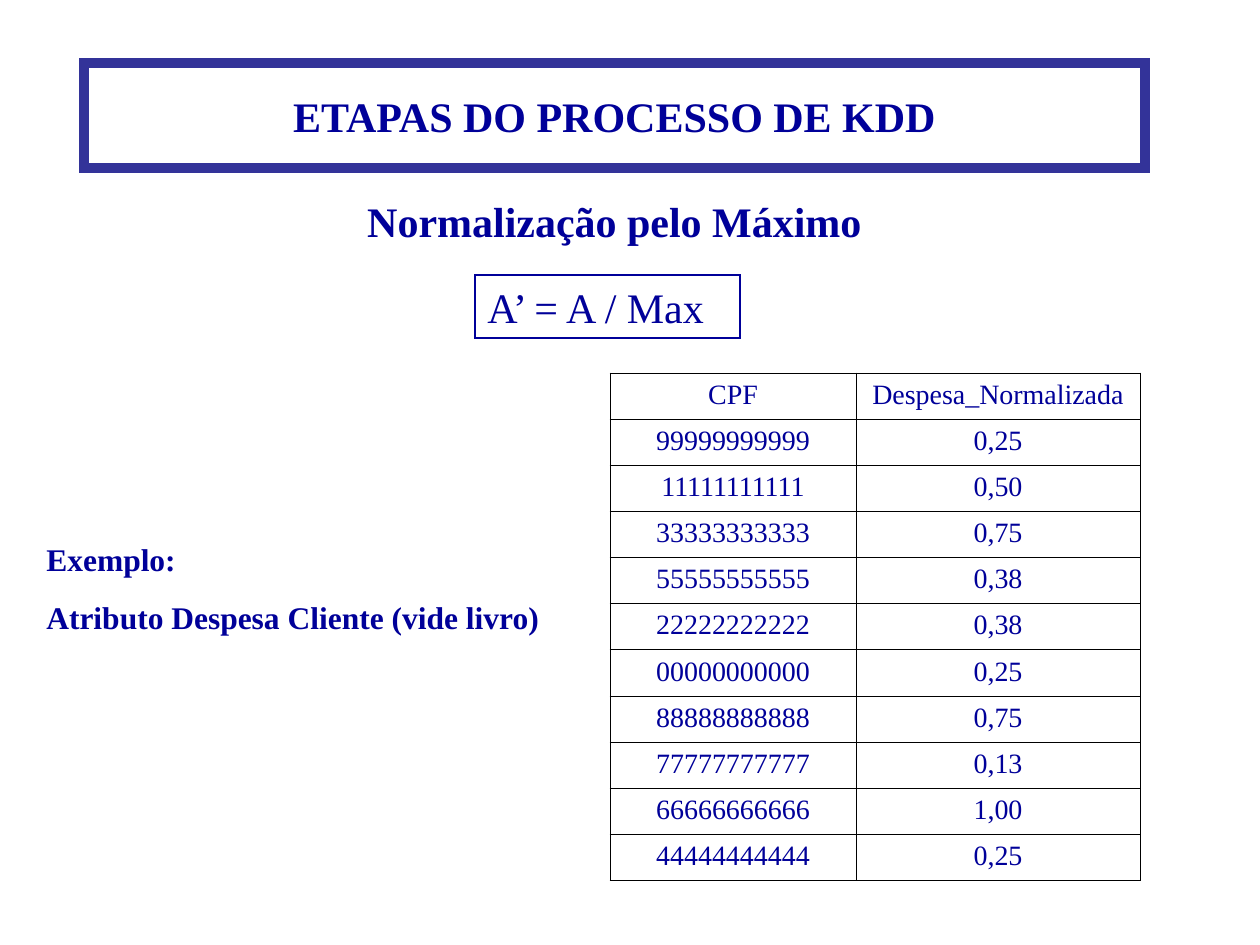
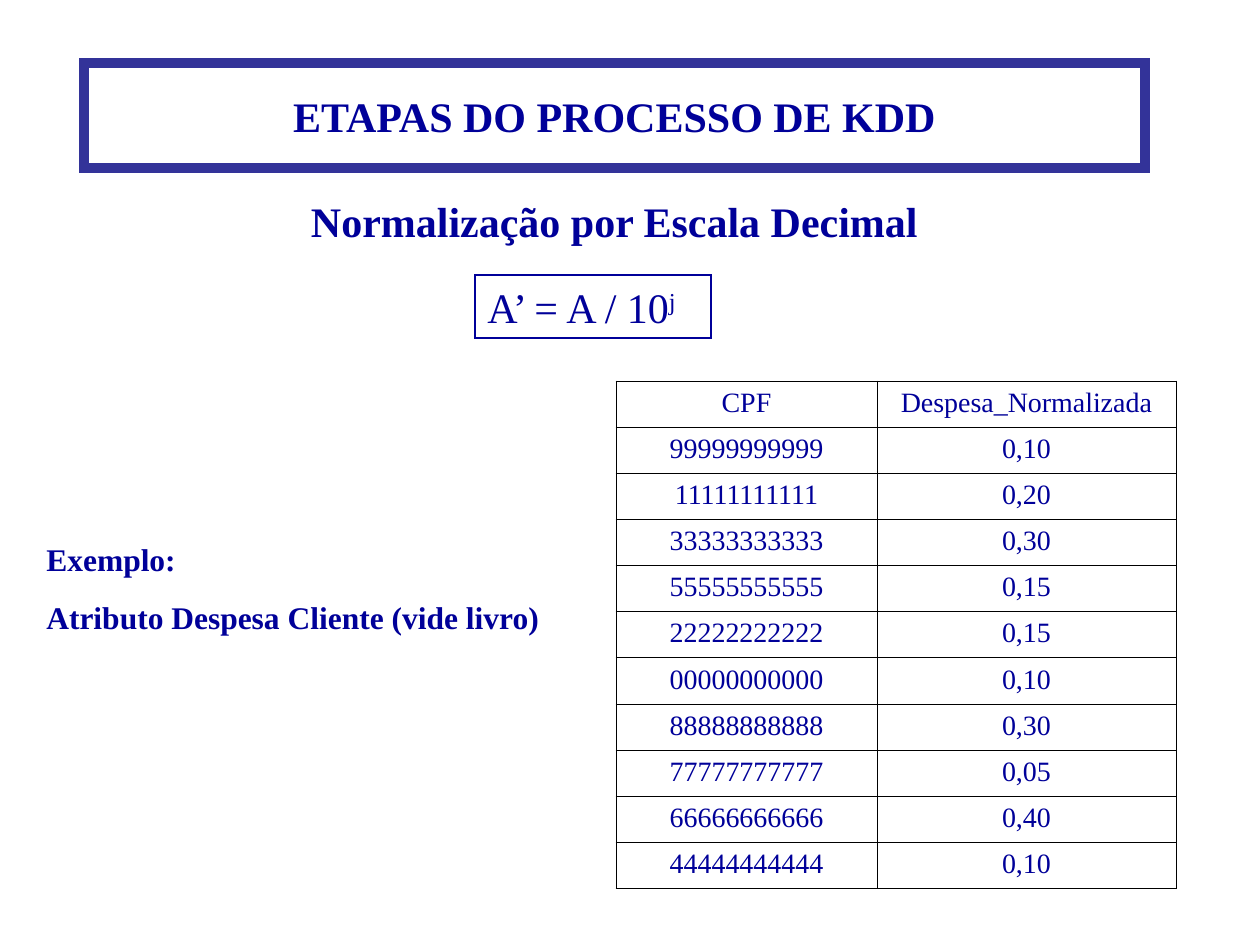
import pptx
import pptx.util
import pptx.dml.color
import pptx.enum.shapes
import pptx.enum.text
import pptx.oxml.ns
from lxml import etree

EMU_PER_PX = 914400 / 126
FONT = "Times New Roman"
COLORS = {"text": "000099", "frame": "333399", "grid": "000000"}
CENTER = pptx.enum.text.PP_ALIGN.CENTER
LEFT = pptx.enum.text.PP_ALIGN.LEFT
TOP = pptx.enum.text.MSO_ANCHOR.TOP
MIDDLE = pptx.enum.text.MSO_ANCHOR.MIDDLE
TITLE = "ETAPAS DO PROCESSO DE KDD"
EXAMPLE = ["Exemplo:", "Atributo Despesa Cliente (vide livro)"]
HEADERS = ("CPF", "Despesa_Normalizada")
CPF_DIGITS = "9135208764"

METHODS = [
    {
        "subtitle": "Normalização pelo Máximo",
        "formula": "A’ = A / Max",
        "exponent": "",
        "formula_width": 265,
        "table_at": (610, 373),
        "columns": (246, 284),
        "values": "0,25 0,50 0,75 0,38 0,38 0,25 0,75 0,13 1,00 0,25".split(),
    },
    {
        "subtitle": "Normalização por Escala Decimal",
        "formula": "A’ = A / 10",
        "exponent": "j",
        "formula_width": 236,
        "table_at": (616, 381),
        "columns": (261, 299),
        "values": "0,10 0,20 0,30 0,15 0,15 0,10 0,30 0,05 0,40 0,10".split(),
    },
]


def px(length):
    return pptx.util.Emu(round(length * EMU_PER_PX))


def rgb(name):
    return pptx.dml.color.RGBColor.from_string(COLORS[name])


def apply(target, formats):
    for attribute, value in formats.items():
        setattr(target, attribute, value)


def place(element, left, top, width, height):
    apply(element, {"left": px(left), "top": px(top), "width": px(width), "height": px(height)})


def style_run(run, size, bold=False):
    apply(run.font, {"name": FONT, "size": pptx.util.Pt(size), "bold": bold})
    run.font.color.rgb = rgb("text")


def write(frame, lines, size, bold=False, align=LEFT, anchor=TOP, space=0):
    apply(frame, {
        "word_wrap": True,
        "auto_size": pptx.enum.text.MSO_AUTO_SIZE.NONE,
        "vertical_anchor": anchor,
    })
    for index, line in enumerate(lines):
        paragraph = frame.paragraphs[0] if index == 0 else frame.add_paragraph()
        apply(paragraph, {"alignment": align, "space_before": pptx.util.Pt(space)})
        run = paragraph.add_run()
        run.text = line
        style_run(run, size, bold)


def outline(shape, color, width):
    shape.fill.background()
    shape.line.color.rgb = rgb(color)
    shape.line.width = pptx.util.Pt(width)
    line = shape.line._get_or_add_ln()
    etree.SubElement(line, pptx.oxml.ns.qn("a:miter"), lim="800000")


def add_title(slide):
    title = slide.shapes.title
    place(title, 84, 63, 1061, 105)
    outline(title, "frame", 6)
    write(title.text_frame, [TITLE], 24, True, CENTER, MIDDLE)


def add_label(slide, box, lines, size, **formats):
    label = slide.shapes.add_textbox(*map(px, box))
    write(label.text_frame, lines, size, True, **formats)


def add_formula(slide, formula, exponent, width):
    box = slide.shapes.add_shape(
        pptx.enum.shapes.MSO_SHAPE.RECTANGLE, *map(px, (475, 275, width, 63)))
    box.shadow.inherit = False
    outline(box, "text", 0.75)
    write(box.text_frame, [formula], 24, anchor=MIDDLE)
    if exponent:
        power = box.text_frame.paragraphs[0].add_run()
        power.text = exponent
        style_run(power, 24)
        power.font._element.set("baseline", "30000")


def add_borders(cell):
    properties = cell._tc.get_or_add_tcPr()
    for side in ("lnL", "lnR", "lnT", "lnB"):
        border = etree.SubElement(
            properties, pptx.oxml.ns.qn(f"a:{side}"), w=str(pptx.util.Pt(0.45)))
        fill = etree.SubElement(border, pptx.oxml.ns.qn("a:solidFill"))
        etree.SubElement(fill, pptx.oxml.ns.qn("a:srgbClr"), val=COLORS["grid"])


def add_expenses(slide, position, columns, values):
    rows = [HEADERS, *zip((digit * 11 for digit in CPF_DIGITS), values)]
    expenses = slide.shapes.add_table(
        len(rows), len(columns), *map(px, (*position, sum(columns), 508))).table
    apply(expenses, {"first_row": False, "horz_banding": False})
    for column, width in zip(expenses.columns, columns):
        column.width = px(width)
    for row, texts in zip(expenses.rows, rows):
        for cell, text in zip(row.cells, texts):
            add_borders(cell)
            cell.fill.background()
            paragraph = cell.text_frame.paragraphs[0]
            paragraph.alignment = CENTER
            run = paragraph.add_run()
            run.text = text
            style_run(run, 16)


def main():
    deck = pptx.Presentation()
    apply(deck, {"slide_width": px(1260), "slide_height": px(945)})
    for method in METHODS:
        slide = deck.slides.add_slide(deck.slide_layouts[5])
        add_title(slide)
        add_label(slide, (84, 189, 1061, 63), [method["subtitle"]], 24, align=CENTER, space=15)
        add_formula(slide, method["formula"], method["exponent"], method["formula_width"])
        add_label(slide, (34, 534, 556, 108), EXAMPLE, 18, space=11.2)
        add_expenses(slide, method["table_at"], method["columns"], method["values"])
    deck.save("out.pptx")


if __name__ == "__main__":
    main()
